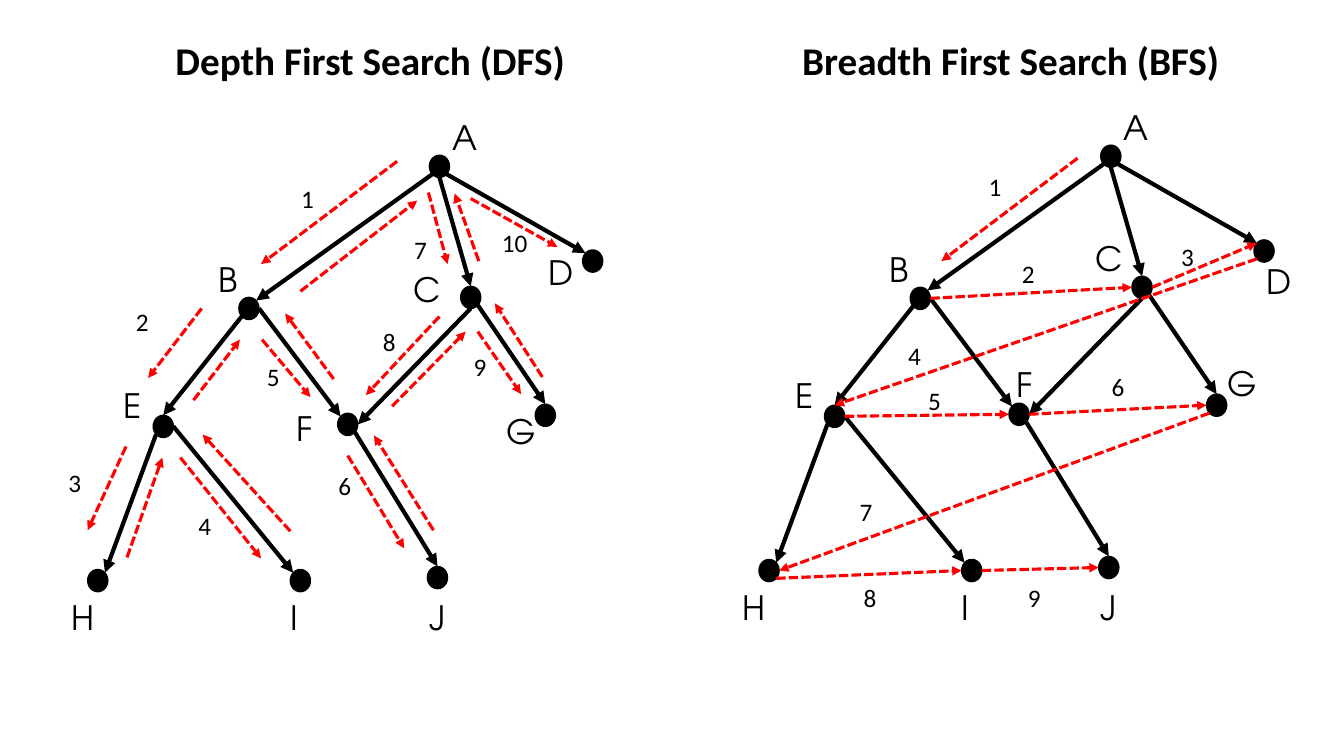
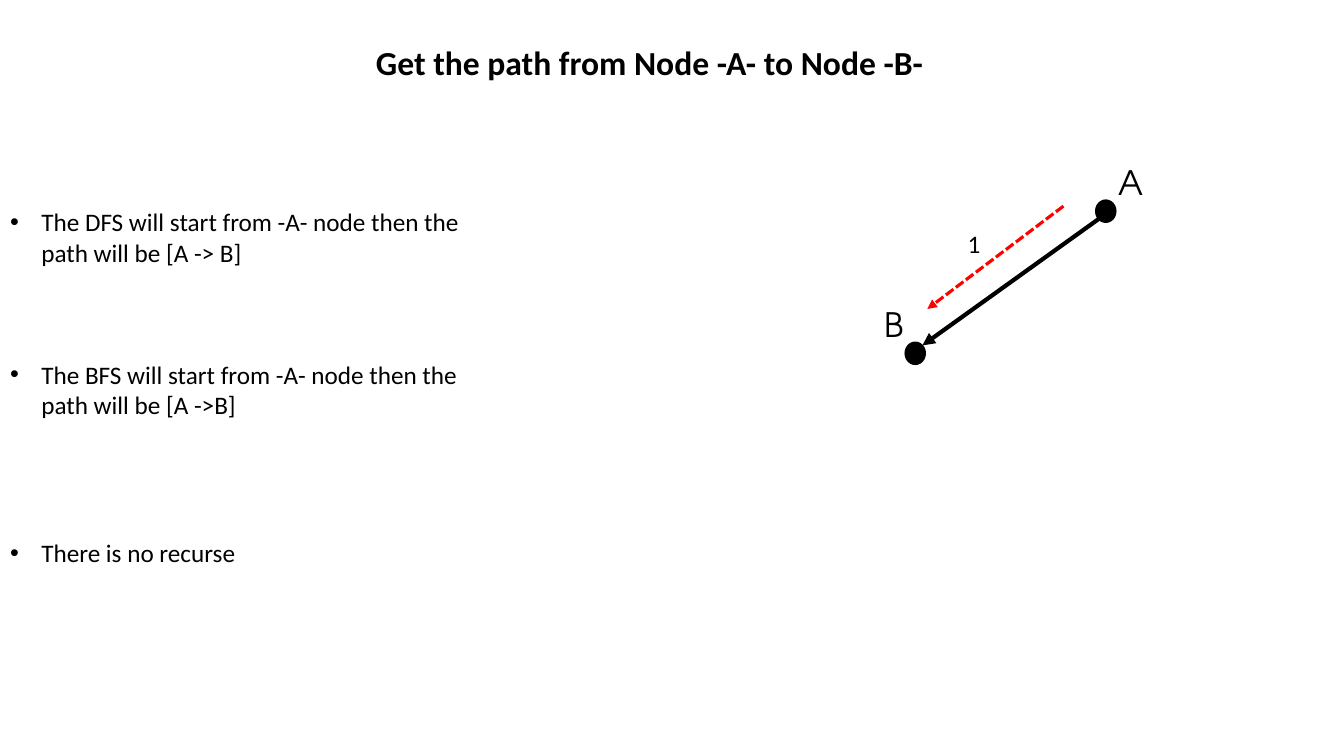
from collections.abc import Iterable
from dataclasses import dataclass, field
from typing import NamedTuple, Optional

from pptx import Presentation
from pptx.dml.color import RGBColor
from pptx.enum.dml import MSO_LINE_DASH_STYLE as Dash
from pptx.enum.shapes import MSO_CONNECTOR as Conn, MSO_SHAPE as Shp
from pptx.enum.text import MSO_ANCHOR as Anchor, MSO_AUTO_SIZE as AutoSize, PP_ALIGN as Align
from pptx.oxml.ns import qn
from pptx.util import Emu, Inches, Pt

# Shared style; all positions are in grid cells of a tenth of an inch
CELL = Inches(0.1)
SLIDE_W, SLIDE_H = 133.33, 75
COLORS = {"ink": "000000", "visit": "FF0000"}
TEXT_FONT, NODE_FONT = "Calibri", "TeX Gyre Adventor"
NODE_W, NODE_H = 2.0, 2.2
INDENT = 3.1


class Pos(NamedTuple):
    x: float
    y: float


class Edge(NamedTuple):
    start: str
    start_site: str
    end: str
    end_site: str


class Arrow(NamedTuple):
    start: Pos
    end: Pos
    number_at: Optional[Pos] = None


@dataclass
class Tree:
    origin: Pos
    nodes: str = "ABCDEFGHIJ"
    letters: dict[str, Pos] = field(default_factory=dict)


# Attachment points around a node, as shares of its half width and height
DIAG = 0.71
SITES = {"t": (0, -1), "b": (0, 1), "l": (-1, 0), "r": (1, 0),
         "tl": (-DIAG, -DIAG), "tr": (DIAG, -DIAG),
         "bl": (-DIAG, DIAG), "br": (DIAG, DIAG)}

# The tree: node centres, letters and edges
CENTRES = {"A": Pos(43.6, 16.5), "B": Pos(24.7, 30.6), "C": Pos(46.7, 29.5),
           "D": Pos(58.8, 25.9), "E": Pos(16.2, 42.3), "F": Pos(34.5, 42.1),
           "G": Pos(54.1, 41.2), "H": Pos(9.7, 57.6), "I": Pos(29.8, 57.6),
           "J": Pos(43.4, 57.3)}
LETTERS = {"A": Pos(43.9, 11.1), "B": Pos(20.7, 25.2), "C": Pos(40, 26.2),
           "D": Pos(53.4, 24.5), "E": Pos(11.3, 37.7), "F": Pos(28.4, 40),
           "G": Pos(49.3, 40.3), "H": Pos(6.1, 58.7), "I": Pos(27.8, 58.7),
           "J": Pos(41.6, 58.7)}
EDGES = [Edge("A", "bl", "B", "tr"), Edge("A", "b", "C", "t"),
         Edge("A", "br", "D", "tl"), Edge("B", "bl", "E", "t"),
         Edge("B", "r", "F", "tl"), Edge("C", "b", "F", "r"),
         Edge("C", "br", "G", "t"), Edge("E", "bl", "H", "tr"),
         Edge("E", "r", "I", "tl"), Edge("F", "br", "J", "t")]

# Depth first: numbered steps down, then the returns
DFS_STEPS = [
    Arrow(Pos(39.4, 16), Pos(25.9, 26.2), Pos(28.9, 17.7)),
    Arrow(Pos(20, 30.6), Pos(14.7, 37.5), Pos(12.5, 29.9)),
    Arrow(Pos(12.5, 44.3), Pos(8.7, 52.6), Pos(5.8, 45.9)),
    Arrow(Pos(17.9, 45.4), Pos(25.9, 55.4), Pos(18.7, 50.1)),
    Arrow(Pos(26, 33.7), Pos(30.8, 39.4), Pos(25.5, 35.4)),
    Arrow(Pos(34.5, 45.2), Pos(40.1, 54.4), Pos(32.6, 46.2)),
    Arrow(Pos(42.5, 19.1), Pos(44.4, 26.2), Pos(40.1, 22.8)),
    Arrow(Pos(43.6, 31.4), Pos(36.3, 39.2), Pos(37, 31.9)),
    Arrow(Pos(47.4, 32.9), Pos(51.7, 39.1), Pos(46, 34.4)),
    Arrow(Pos(46.7, 19.7), Pos(55.3, 24.5), Pos(48.8, 22.1)),
]
DFS_RETURNS = [
    Arrow(Pos(12.6, 55.3), Pos(16.1, 45.4)),
    Arrow(Pos(28.8, 52.7), Pos(20.1, 43.1)),
    Arrow(Pos(19.2, 39.7), Pos(23.8, 33.7)),
    Arrow(Pos(43, 52.6), Pos(37.1, 43.2)),
    Arrow(Pos(33.1, 37.6), Pos(28.3, 31.1)),
    Arrow(Pos(29.8, 28.9), Pos(41.4, 19.9)),
    Arrow(Pos(38.9, 40.3), Pos(46.2, 32.9)),
    Arrow(Pos(53.8, 37.4), Pos(49.1, 30.1)),
    Arrow(Pos(47.5, 25.9), Pos(45.1, 19.2)),
]

# Breadth first: the first step runs beside its edge, the rest join nodes
BFS_FIRST = Arrow(Pos(40.3, 16.7), Pos(26.8, 26.9), Pos(30.5, 17.5))
BFS_HOPS = [
    (Edge("B", "r", "C", "l"), Pos(33.8, 26.1)),
    (Edge("C", "r", "D", "tl"), Pos(49.6, 24.4)),
    (Edge("D", "bl", "E", "t"), Pos(22.5, 34.3)),
    (Edge("E", "r", "F", "l"), Pos(24.5, 38.7)),
    (Edge("F", "r", "G", "l"), Pos(42.7, 37.3)),
    (Edge("G", "bl", "H", "r"), Pos(17.7, 49.7)),
    (Edge("H", "br", "I", "l"), Pos(18.1, 58.3)),
    (Edge("I", "r", "J", "l"), Pos(34.4, 58.3)),
]

DFS_TREE = Tree(Pos(0, 0))
BFS_TREE = Tree(Pos(66.6, -1), letters={
    "C": Pos(41.1, 24.1), "D": Pos(58.1, 26.4),
    "F": Pos(33.3, 36.6), "G": Pos(54.2, 36.5)})
PATH_TREE = Tree(Pos(66.1, 4.45), nodes="AB")

# Bullets with the space before each, in points
BULLETS = [("The DFS will start from -A- node then the path will be [A -> B]", 0),
           ("The BFS will start from -A- node then the path will be [A ->B]", 65.5),
           ("There is no recurse", 84.5)]


def cells(n: float) -> Emu:
    return Emu(round(n * CELL))


def color(name: str) -> RGBColor:
    return RGBColor.from_string(COLORS[name])


def shift(pos: Pos, origin: Pos) -> Pos:
    return Pos(pos.x + origin.x, pos.y + origin.y)


def site(node: str, name: str) -> Pos:
    dx, dy = SITES[name]
    return shift(CENTRES[node], Pos(dx * NODE_W / 2, dy * NODE_H / 2))


def along(edge: Edge, number_at: Optional[Pos] = None) -> Arrow:
    return Arrow(site(edge.start, edge.start_site),
                 site(edge.end, edge.end_site), number_at)


def place(sp, pos: Pos, w: float, h: float) -> None:
    sp.left, sp.top, sp.width, sp.height = map(cells, (*pos, w, h))


def set_frame(tf) -> None:
    tf.word_wrap = True
    tf.auto_size = AutoSize.NONE
    tf.vertical_anchor = Anchor.TOP


def add_run(p, text: str, size: float, font: str = TEXT_FONT, bold: bool = False) -> None:
    p.alignment = Align.LEFT
    r = p.add_run()
    r.text = text
    r.font.name, r.font.size, r.font.bold = font, Pt(size), bold
    r.font.color.rgb = color("ink")


def add_label(s, text: str, pos: Pos, w: float, h: float, size: float,
              font: str = TEXT_FONT, bold: bool = False) -> None:
    sp = s.shapes.add_textbox(*map(cells, (*pos, w, h)))
    set_frame(sp.text_frame)
    add_run(sp.text_frame.paragraphs[0], text, size, font, bold)


def set_title(s, text: str, pos: Pos, w: float, h: float, size: float) -> None:
    sp = s.shapes.title
    place(sp, pos, w, h)
    set_frame(sp.text_frame)
    add_run(sp.text_frame.paragraphs[0], text, size, bold=True)


def add_arrow(s, arrow: Arrow, origin: Pos, visit: bool = False) -> None:
    ends = (*shift(arrow.start, origin), *shift(arrow.end, origin))
    sp = s.shapes.add_connector(Conn.STRAIGHT, *map(cells, ends))
    sp.line.color.rgb = color("visit" if visit else "ink")
    sp.line.width = Pt(2.25 if visit else 3)
    if visit:
        sp.line.dash_style = Dash.SQUARE_DOT
    ln = sp.line._get_or_add_ln()
    tail = ln.makeelement(qn("a:tailEnd"), {"type": "triangle"})
    ln.append(tail)
    sp_pr = ln.getparent()
    sp_pr.append(sp_pr.makeelement(qn("a:effectLst"), {}))


def add_tree(s, tree: Tree) -> None:
    for edge in EDGES:
        if edge.start in tree.nodes and edge.end in tree.nodes:
            add_arrow(s, along(edge), tree.origin)
    letters = LETTERS | tree.letters
    for node in tree.nodes:
        corner = shift(CENTRES[node], Pos(-NODE_W / 2, -NODE_H / 2))
        sp = s.shapes.add_shape(
            Shp.OVAL, *map(cells, (*shift(corner, tree.origin), NODE_W, NODE_H)))
        sp.shadow.inherit = False
        sp.fill.solid()
        sp.fill.fore_color.rgb = sp.line.color.rgb = color("ink")
        sp.line.width = Pt(1)
        add_label(s, node, shift(letters[node], tree.origin), 4.1, 5.2, 24, NODE_FONT)


def add_visits(s, tree: Tree, arrows: Iterable[Arrow]) -> None:
    for number, arrow in enumerate(arrows, 1):
        add_arrow(s, arrow, tree.origin, visit=True)
        if arrow.number_at:
            add_label(s, str(number), shift(arrow.number_at, tree.origin), 4.7, 4, 18)


def build_search_slide(prs) -> None:
    s = prs.slides.add_slide(prs.slide_layouts[5])
    set_title(s, "Depth First Search (DFS)", Pos(16.4, 3.1), 44, 5.7, 28)
    add_label(s, "Breadth First Search (BFS)", Pos(78.6, 3.1), 46.7, 5.7, 28, bold=True)
    add_tree(s, DFS_TREE)
    add_visits(s, DFS_TREE, DFS_STEPS + DFS_RETURNS)
    add_tree(s, BFS_TREE)
    add_visits(s, BFS_TREE, [BFS_FIRST, *(along(*hop) for hop in BFS_HOPS)])


def build_path_slide(prs) -> None:
    s = prs.slides.add_slide(prs.slide_layouts[1])
    set_title(s, "Get the path from Node -A- to Node -B-", Pos(36.3, 3.7), 60.7, 5, 24)
    # Bulleted list
    body = s.placeholders[1]
    place(body, Pos(0, 20), 51, 37)
    tf = body.text_frame
    set_frame(tf)
    for i, (text, gap) in enumerate(BULLETS):
        p = tf.add_paragraph() if i else tf.paragraphs[0]
        p.space_before = Pt(gap)
        p_pr = p._p.get_or_add_pPr()
        p_pr.set("marL", str(cells(INDENT)))
        p_pr.set("indent", str(-cells(INDENT)))
        add_run(p, text, 18)
    # Two-node path
    add_tree(s, PATH_TREE)
    add_visits(s, PATH_TREE, DFS_STEPS[:1])


def main() -> None:
    prs = Presentation()
    prs.slide_width, prs.slide_height = cells(SLIDE_W), cells(SLIDE_H)
    build_search_slide(prs)
    build_path_slide(prs)
    prs.save("out.pptx")


if __name__ == "__main__":
    main()
